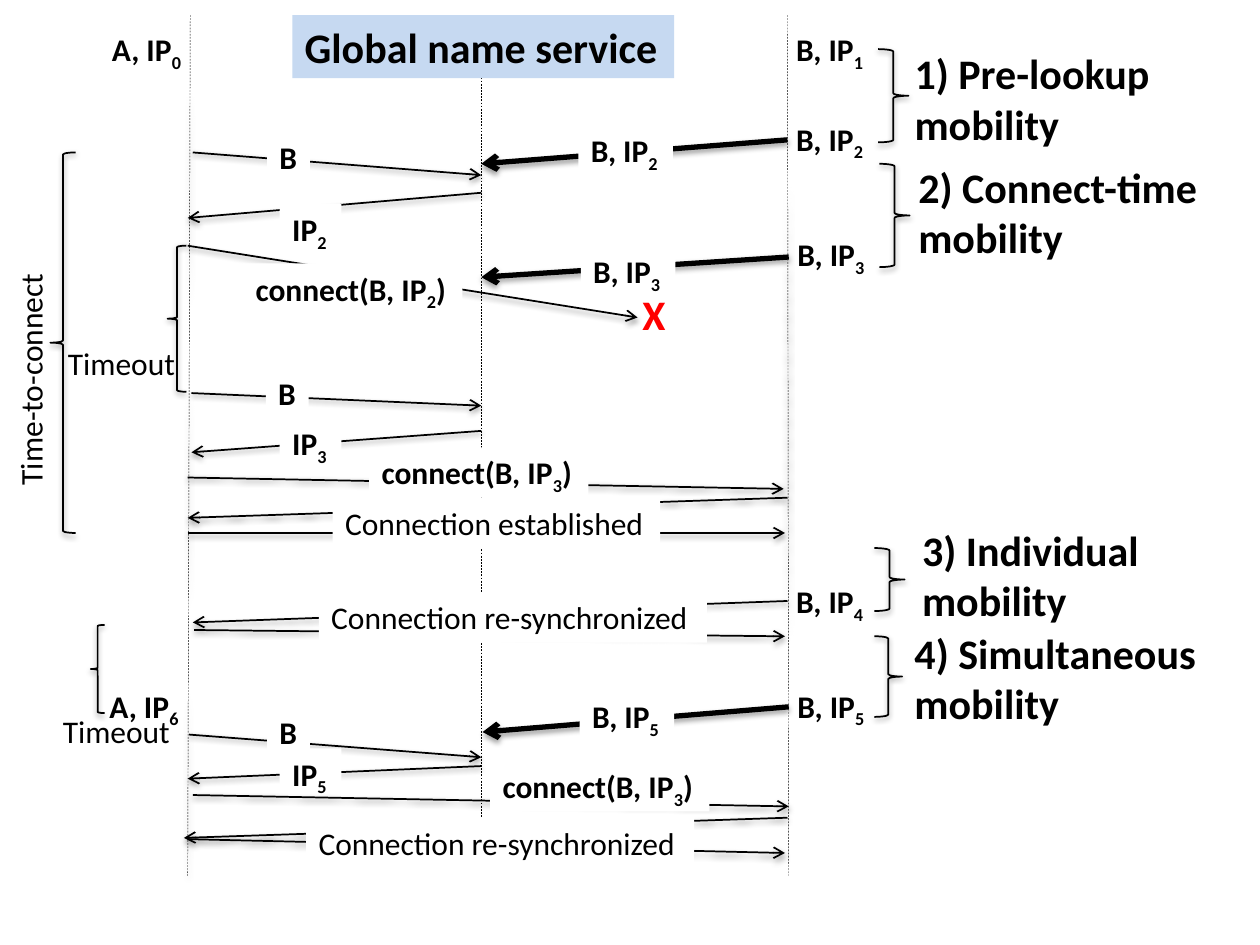
from lxml.etree import SubElement
from pptx import Presentation
from pptx.dml.color import RGBColor
from pptx.enum.dml import MSO_LINE
from pptx.enum.shapes import MSO_CONNECTOR as Conn, MSO_SHAPE as Geo
from pptx.enum.text import MSO_AUTO_SIZE as Fit
from pptx.oxml import parse_xml
from pptx.oxml.ns import nsdecls, qn
from pptx.util import Inches, Pt

COLORS = {"ink": "000000", "paper": "FFFFFF", "title": "C6D9F1", "fail": "FF0000"}
SHADE = (
    f'<a:effectLst {nsdecls("a")}><a:outerShdw blurRad="40000" dist="20000" '
    'dir="5400000" rotWithShape="0"><a:srgbClr val="000000"><a:alpha val="38000"/>'
    "</a:srgbClr></a:outerShdw></a:effectLst>"
)
LEFT, MID, RIGHT = 1.49, 3.82, 6.25
WIDTHS = {"B": 0.34, "IP": 0.49, "B, IP": 0.75, "A, IP": 0.76, "connect(B, IP": 1.74}


class Sketch:
    font = "Calibri"

    def __init__(self, slide):
        self.shapes = slide.shapes

    def color(self, name):
        return RGBColor.from_string(COLORS[name])

    def stroke(self, shape, width):
        shape.line.color.rgb = self.color("ink")
        shape.line.width = Pt(width)
        shape._element.spPr.append(parse_xml(SHADE))

    def line(self, x1, y1, x2, y2, width):
        line = self.shapes.add_connector(
            Conn.STRAIGHT, Inches(x1), Inches(y1), Inches(x2), Inches(y2))
        self.stroke(line, width)
        return line

    def life(self, x1, x2, end):
        self.line(x1, 0.12, x2, end, 0.25).line.dash_style = MSO_LINE.DASH

    def arrow(self, x1, y1, x2, y2, width=1):
        line = self.line(x1, y1, x2, y2, width)
        SubElement(line.line._get_or_add_ln(), qn("a:tailEnd"), type="arrow")

    def brace(self, kind, x, y, w, h):
        brace = self.shapes.add_shape(kind, Inches(x), Inches(y), Inches(w), Inches(h))
        brace.fill.background()
        self.stroke(brace, 1)

    def text(self, words, x, y, w=None, size=18, bold=True, fill=None, ink="ink", turn=0):
        rows = words.split("\n")
        high = 0.4 if size == 18 else 0.09 + 0.41 * len(rows)
        wide = w or WIDTHS[words.split("_")[0]]
        box = self.shapes.add_textbox(Inches(x), Inches(y), Inches(wide), Inches(high))
        box.rotation = turn
        if fill:
            box.fill.solid()
            box.fill.fore_color.rgb = self.color(fill)
        frame = box.text_frame
        frame.word_wrap = False
        frame.auto_size = Fit.SHAPE_TO_FIT_TEXT
        for i, row in enumerate(rows):
            para = frame.add_paragraph() if i else frame.paragraphs[0]
            para.font.name, para.font.size, para.font.bold = self.font, Pt(size), bold
            para.font.color.rgb = self.color(ink)
            head, *subs = row.split("_")
            para.add_run().text = head
            for sub in subs:
                run = para.add_run()
                run.text = sub[0]
                run._r.get_or_add_rPr().set("baseline", "-25000")
                if sub[1:]:
                    para.add_run().text = sub[1:]

    def message(self, arrows, words, x, y, w=None):
        for arrow in arrows:
            self.arrow(*arrow)
        self.text(words, x, y, w, bold=w is None, fill="paper")


MESSAGES = [
    ([(RIGHT, 1.11, MID, 1.3, 3)], "B, IP_2", 4.59, 0.99),
    ([(1.53, 1.21, MID, 1.39)], "B", 2.12, 1.05),
    ([(MID, 1.53, LEFT, 1.73)], "IP_2", 2.22, 1.62),
    ([(LEFT, 1.95, 5.06, 2.52)], "connect(B, IP_2)", 1.93, 2.09),
    ([(6.26, 2.04, MID, 2.2, 3)], "B, IP_3", 4.61, 1.95),
    ([(1.52, 3.12, MID, 3.22)], "B", 2.11, 2.92),
    ([(MID, 3.42, 1.52, 3.59)], "IP_3", 2.22, 3.32),
    ([(LEFT, 3.79, 6.22, 3.88)], "connect(B, IP_3)", 2.93, 3.55),
    ([(RIGHT, 3.95, LEFT, 4.11), (LEFT, 4.23, 6.23, 4.23)],
     "Connection established", 2.64, 3.95, 2.6),
    ([(RIGHT, 4.77, 1.53, 4.94), (1.54, 5, 6.23, 5.05)],
     "Connection re-synchronized", 2.53, 4.7, 3.08),
    ([(6.26, 5.61, 3.83, 5.81, 3)], "B, IP_5", 4.6, 5.48),
    ([(1.5, 5.83, MID, 6.01)], "B", 2.12, 5.61),
    ([(MID, 6.08, LEFT, 6.18)], "IP_5", 2.22, 5.94),
    ([(1.53, 6.31, 6.26, 6.4)], "connect(B, IP_3)", 3.89, 6.04),
    ([(RIGHT, 6.49, 1.46, 6.65), (LEFT, 6.66, 6.23, 6.77)],
     "Connection re-synchronized", 2.43, 6.49, 3.08),
]
HOSTS = [
    ("A, IP_0", 0.79, 0.19), ("A, IP_6", 0.77, 5.4), ("B, IP_1", 6.22, 0.19),
    ("B, IP_2", 6.22, 0.9), ("B, IP_3", 6.23, 1.82), ("B, IP_4", 6.22, 4.57),
    ("B, IP_5", 6.23, 5.4),
]
CASES = [
    ("Pre-lookup", (7.16, 0.33, 2.09), (6.97, 0.39, 0.24, 0.74)),
    ("Connect-time", (7.19, 1.23, 2.44), (6.98, 1.3, 0.24, 0.82)),
    ("Individual", (7.22, 4.11, 1.94), (6.94, 4.35, 0.24, 0.5)),
    ("Simultaneous", (7.16, 4.93, 2.46), (6.94, 5.05, 0.22, 0.64)),
]
WAITS = [
    ("Timeout", (0.44, 2.68, 1.06), 0, (1.33, 1.95, 0.15, 1.16)),
    ("Timeout", (0.4, 5.6, 1.06), 0, (0.72, 4.96, 0.11, 0.7)),
    ("Time-to-connect", (-0.71, 2.8, 1.9), 270, (0.4, 1.21, 0.2, 3.02)),
]


def main():
    deck = Presentation()
    deck.slide_width, deck.slide_height = Inches(10), Inches(7.5)
    art = Sketch(deck.slides.add_slide(deck.slide_layouts[6]))
    for life in [(1.51, LEFT, 6.95), (RIGHT, 6.26, 6.95), (MID, MID, 6.66)]:
        art.life(*life)
    art.text("Global name service", 2.32, 0.12, 3.03, size=24, fill="title")
    for message in MESSAGES:
        art.message(*message)
    art.text("X", 5, 2.24, 0.39, size=24, ink="fail")
    for host in HOSTS:
        art.text(*host)
    for num, (name, place, span) in enumerate(CASES, 1):
        art.brace(Geo.RIGHT_BRACE, *span)
        art.text(f"{num}) {name}\nmobility", *place, size=24)
    for name, place, turn, span in WAITS:
        art.brace(Geo.LEFT_BRACE, *span)
        art.text(name, *place, bold=False, turn=turn)
    deck.save("out.pptx")


if __name__ == "__main__":
    main()
